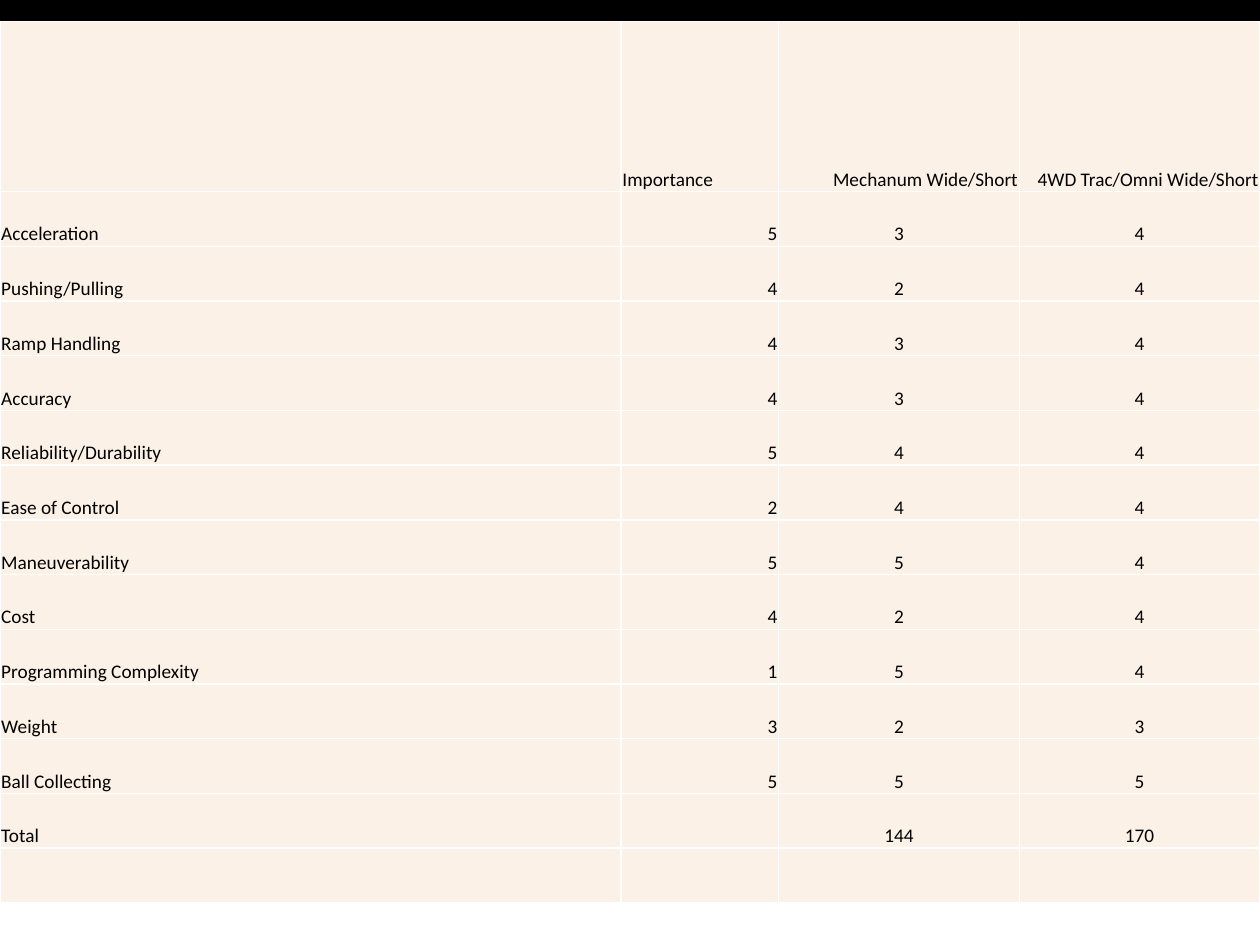
import pptx
import pptx.dml.color
import pptx.enum.shapes
import pptx.enum.text
import pptx.oxml.ns
import pptx.util
from lxml import etree

WIDTH, HEIGHT = 10, 7.5
TABLE_TOP, TABLE_HEIGHT, HEADER_HEIGHT = 0.17, 7, 1.35
COLUMN_WIDTHS = [4.93, 1.25, 1.91, 1.91]
LEFT = pptx.enum.text.PP_ALIGN.LEFT
CENTER = pptx.enum.text.PP_ALIGN.CENTER
RIGHT = pptx.enum.text.PP_ALIGN.RIGHT
HEADER_ALIGNMENTS = [LEFT, LEFT, RIGHT, RIGHT]
BODY_ALIGNMENTS = [LEFT, RIGHT, CENTER, CENTER]
ROWS = [
    ("", "Importance", "Mechanum Wide/Short", "4WD Trac/Omni Wide/Short"),
    ("Acceleration", "5", "3", "4"),
    ("Pushing/Pulling", "4", "2", "4"),
    ("Ramp Handling", "4", "3", "4"),
    ("Accuracy", "4", "3", "4"),
    ("Reliability/Durability", "5", "4", "4"),
    ("Ease of Control", "2", "4", "4"),
    ("Maneuverability", "5", "5", "4"),
    ("Cost", "4", "2", "4"),
    ("Programming Complexity", "1", "5", "4"),
    ("Weight", "3", "2", "3"),
    ("Ball Collecting", "5", "5", "5"),
    ("Total", "", "144", "170"),
    ("", "", "", ""),
]


def color(value):
    return pptx.dml.color.RGBColor.from_string(value)


def add_band(slide, height, fill):
    band = slide.shapes.add_shape(
        pptx.enum.shapes.MSO_SHAPE.RECTANGLE, 0, 0,
        pptx.util.Inches(WIDTH), pptx.util.Inches(height))
    band.shadow.inherit = False
    band.fill.solid()
    band.fill.fore_color.rgb = color(fill)
    band.line.fill.background()


def set_borders(cell, value, points):
    properties = cell._tc.get_or_add_tcPr()
    for side in ("lnL", "lnR", "lnT", "lnB"):
        line = etree.SubElement(properties, pptx.oxml.ns.qn(f"a:{side}"),
                                w=str(pptx.util.Pt(points)))
        fill = etree.SubElement(line, pptx.oxml.ns.qn("a:solidFill"))
        etree.SubElement(fill, pptx.oxml.ns.qn("a:srgbClr"), val=value)


def format_cell(cell, text, alignment):
    set_borders(cell, "FFFFFF", 1)
    cell.fill.solid()
    cell.fill.fore_color.rgb = color("FCF1E7")
    cell.margin_left = cell.margin_right = cell.margin_top = pptx.util.Inches(0.01)
    cell.margin_bottom = 0
    cell.vertical_anchor = pptx.enum.text.MSO_ANCHOR.BOTTOM
    cell.text = text
    paragraph = cell.text_frame.paragraphs[0]
    paragraph.alignment = alignment
    paragraph.font.name = "Calibri"
    paragraph.font.size = pptx.util.Pt(11)
    paragraph.font.bold = False
    paragraph.font.color.rgb = color("000000")


def add_score_table(slide):
    table = slide.shapes.add_table(
        len(ROWS), len(COLUMN_WIDTHS), 0, pptx.util.Inches(TABLE_TOP),
        pptx.util.Inches(WIDTH), pptx.util.Inches(TABLE_HEIGHT)).table
    table.first_row = False
    table.horz_banding = False
    for column, width in zip(table.columns, COLUMN_WIDTHS):
        column.width = pptx.util.Inches(width)
    body_height = (TABLE_HEIGHT - HEADER_HEIGHT) / (len(ROWS) - 1)
    for index, (row, texts) in enumerate(zip(table.rows, ROWS)):
        row.height = pptx.util.Inches(body_height if index else HEADER_HEIGHT)
        alignments = BODY_ALIGNMENTS if index else HEADER_ALIGNMENTS
        for cell, text, alignment in zip(row.cells, texts, alignments):
            format_cell(cell, text, alignment)


def main():
    presentation = pptx.Presentation()
    presentation.slide_width = pptx.util.Inches(WIDTH)
    presentation.slide_height = pptx.util.Inches(HEIGHT)
    slide = presentation.slides.add_slide(presentation.slide_layouts[6])
    add_band(slide, 1.57, "000000")
    add_score_table(slide)
    presentation.save("out.pptx")


if __name__ == "__main__":
    main()
